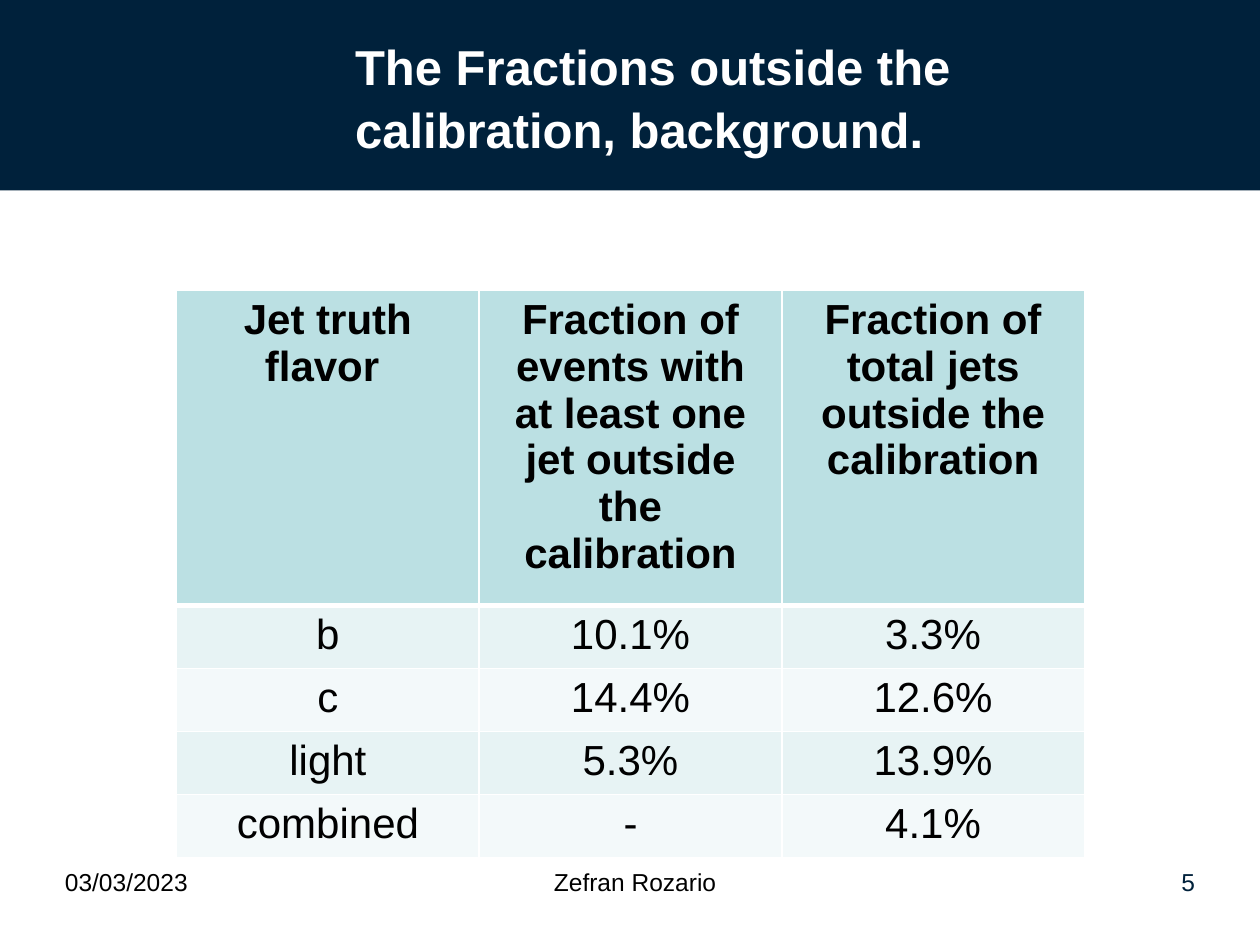
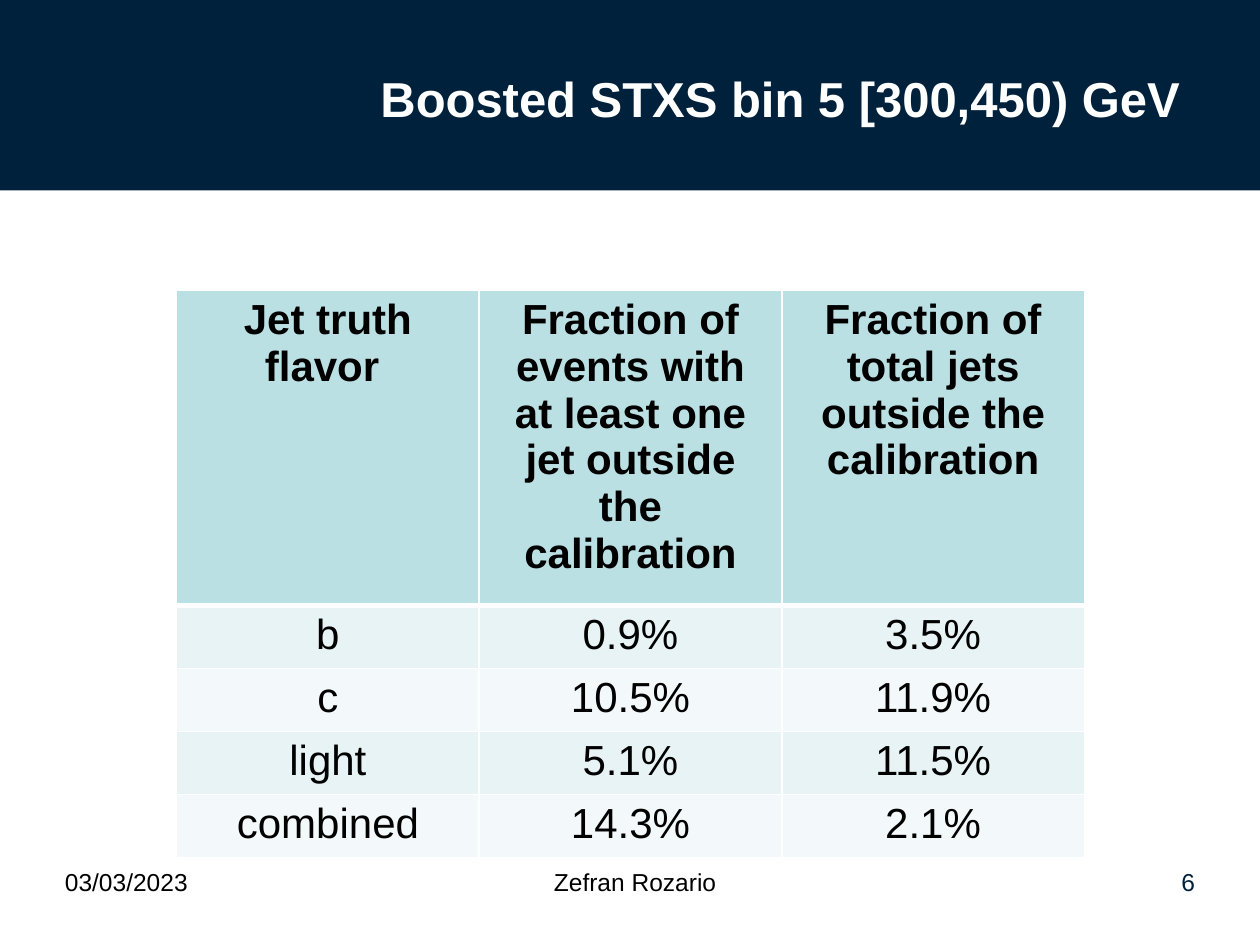
import pptx
import pptx.dml.color
import pptx.enum.shapes
import pptx.enum.text
import pptx.oxml
import pptx.oxml.ns
import pptx.util

Cm = pptx.util.Cm
Pt = pptx.util.Pt
ALIGN = pptx.enum.text.PP_ALIGN
ANCHOR = pptx.enum.text.MSO_ANCHOR

# Shared look
FONT = "Arial"
HUES = {"navy": "00213B", "white": "FFFFFF", "black": "000000",
        "head": "BBE0E3", "odd": "E7F3F4", "even": "F3F9FA"}
RGB = {name: pptx.dml.color.RGBColor.from_string(hue)
       for name, hue in HUES.items()}

# Shared content
DATE = "03/03/2023"
AUTHOR = "Zefran Rozario"
HEADS = ["Jet truth flavor ",
         "Fraction of events with at least one jet outside the calibration",
         "Fraction of total jets outside the calibration"]
FLAVORS = ["b", "c", "light", "combined"]

# Per slide: number, title, left edge of title, events and jets by flavor
PAGES = [
    (5, "The Fractions outside the calibration, background.", 6.91,
     ["10.1%", "14.4%", "5.3%", "-"], ["3.3%", "12.6%", "13.9%", "4.1%"]),
    (6, "Boosted STXS bin 5 [300,450) GeV", 7.42,
     ["0.9%", "10.5%", "5.1%", "14.3%"], ["3.5%", "11.9%", "11.5%", "2.1%"]),
]


def style(para, size, hue, align=ALIGN.LEFT, bold=False):
    para.alignment = align
    para.font.name = FONT
    para.font.size = Pt(size)
    para.font.bold = bold
    para.font.color.rgb = RGB[hue]


def border(cell, side, width):
    line = pptx.oxml.parse_xml(
        f'<a:ln{side} {pptx.oxml.ns.nsdecls("a")} w="{Pt(width)}"><a:solidFill>'
        f'<a:srgbClr val="{HUES["white"]}"/></a:solidFill></a:ln{side}>')
    cell._tc.get_or_add_tcPr().append(line)


deck = pptx.Presentation()
deck.slide_width = Cm(25.4)
deck.slide_height = Cm(19.05)
blank = deck.slide_layouts[6]

for number, title, left, events, jets in PAGES:
    slide = deck.slides.add_slide(blank)

    # Title band
    band = slide.shapes.add_shape(pptx.enum.shapes.MSO_SHAPE.RECTANGLE,
                                  0, 0, deck.slide_width, Cm(3.84))
    band.shadow.inherit = False
    band.fill.solid()
    band.fill.fore_color.rgb = RGB["navy"]
    band.line.fill.background()

    # Title
    frame = slide.shapes.add_textbox(Cm(left), Cm(0.97), Cm(17), Cm(1.9)).text_frame
    frame.word_wrap = True
    frame.vertical_anchor = ANCHOR.MIDDLE
    frame.text = title
    style(frame.paragraphs[0], 28, "white", bold=True)
    frame.paragraphs[0].line_spacing = 1.08

    # Table
    rows = [HEADS] + list(zip(FLAVORS, events, jets))
    table = slide.shapes.add_table(len(rows), len(HEADS), Cm(3.56), Cm(5.85),
                                   Cm(18.3), Cm(10.69)).table
    table.horz_banding = False
    for col in table.columns:
        col.width = Cm(6.1)
    for r, texts in enumerate(rows):
        table.rows[r].height = Cm(1.2 if r else 5.89)
        fill = ("odd" if r % 2 else "even") if r else "head"
        for c, text in enumerate(texts):
            cell = table.cell(r, c)
            cell.text = text
            style(cell.text_frame.paragraphs[0], 24, "black", ALIGN.CENTER, r == 0)
            # The rule below the header is thicker
            for side in "LRTB":
                border(cell, side, 3 if (r, side) in [(0, "B"), (1, "T")] else 1)
            cell.fill.solid()
            cell.fill.fore_color.rgb = RGB[fill]

    # Footer
    for text, x, width, align, hue in [
            (DATE, 1.06, 5.29, ALIGN.LEFT, "black"),
            (AUTHOR, 7.83, 9.95, ALIGN.CENTER, "black"),
            (str(number), 19.05, 5.29, ALIGN.RIGHT, "navy")]:
        frame = slide.shapes.add_textbox(Cm(x), Cm(17.35), Cm(width), Cm(1.27)).text_frame
        frame.word_wrap = True
        frame.text = text
        style(frame.paragraphs[0], 14, hue, align)

deck.save("out.pptx")
